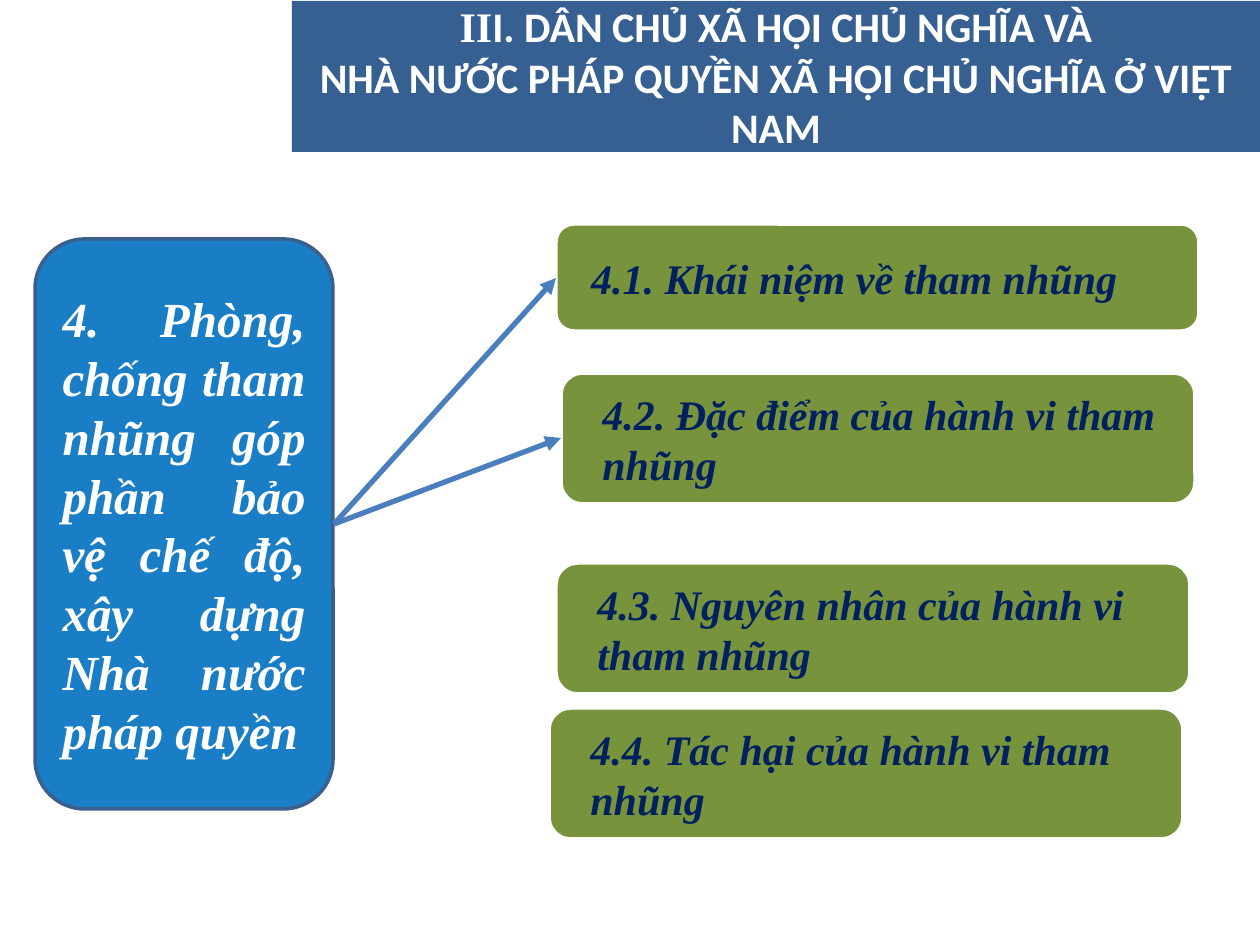
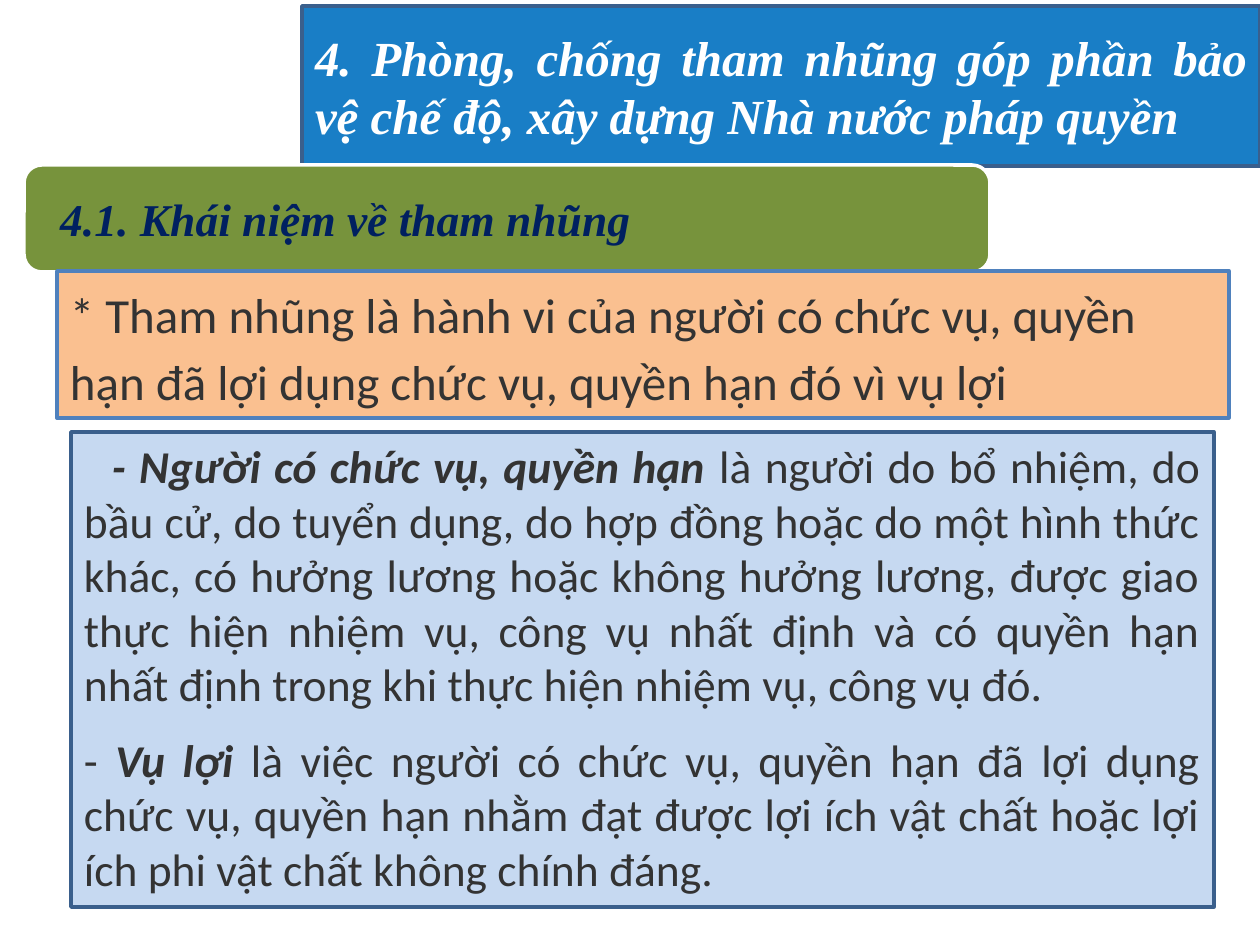
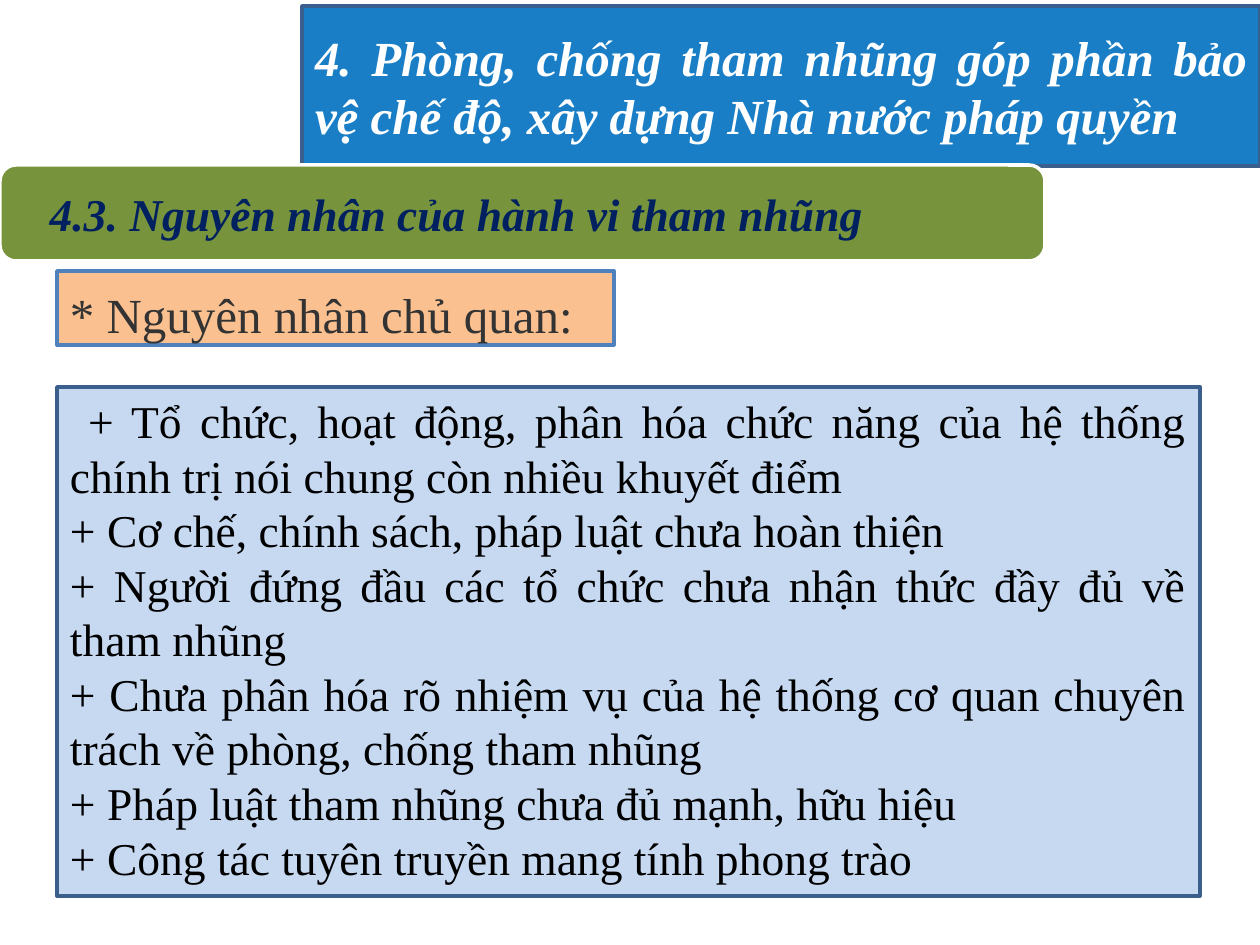
from lxml.etree import SubElement
from pptx import Presentation
from pptx.dml.color import RGBColor
from pptx.enum.shapes import MSO_CONNECTOR as CONN, MSO_SHAPE as SHAPE
from pptx.enum.text import MSO_ANCHOR as ANCHOR, MSO_AUTO_SIZE as AUTO, PP_ALIGN as ALIGN
from pptx.oxml.ns import qn
from pptx.util import Emu, Pt

WHITE = RGBColor(0xFF, 0xFF, 0xFF)
BLACK = RGBColor(0x00, 0x00, 0x00)
GREY = RGBColor(0x33, 0x33, 0x33)
NAVY = RGBColor(0x00, 0x20, 0x60)
BAND = RGBColor(0x37, 0x60, 0x92)
BLUE = RGBColor(0x00, 0x70, 0xC0)
EDGE = RGBColor(0x3A, 0x5F, 0x8C)
GREEN = RGBColor(0x77, 0x93, 0x3C)
PEACH = RGBColor(0xFA, 0xC0, 0x90)
PEACH_EDGE = RGBColor(0x4F, 0x81, 0xBD)
PALE = RGBColor(0xC6, 0xD9, 0xF1)
ARROW = RGBColor(0x4B, 0x7E, 0xBC)

SERIF = "Times New Roman"
SANS = "Calibri"
STRONG = {"bold": True, "italic": True}
SCALE = 914400 / 126
TITLE_ONLY, TITLE_BODY = 5, 1
PAD = (13, 6, 13, 6)
SECTION = "4. Phòng, chống tham nhũng góp phần bảo vệ chế độ, xây dựng Nhà nước pháp quyền"
CONCEPT = "4.1. Khái niệm về tham nhũng"
CAUSES = "4.3. Nguyên nhân của hành vi tham nhũng"


def px(n):
    return Emu(round(n * SCALE))


def set_all(obj, values):
    for name, value in values.items():
        setattr(obj, name, value)


class Deck:
    def __init__(self):
        self.prs = Presentation()
        set_all(self.prs, {"slide_width": px(1260), "slide_height": px(945)})
        self.s = None

    def slide(self, layout):
        self.s = self.prs.slides.add_slide(self.prs.slide_layouts[layout])

    def place(self, sp, box):
        set_all(sp, dict(zip(("left", "top", "width", "height"), map(px, box))))

    def paint(self, sp, fill, line=None):
        sp.shadow.inherit = False
        sp.fill.solid()
        sp.fill.fore_color.rgb = fill
        if line:
            sp.line.color.rgb = line
            sp.line.width = Pt(2)
        else:
            sp.line.fill.background()

    def shape(self, kind, box, fill, line):
        sp = self.s.shapes.add_shape(kind, *map(px, box))
        self.paint(sp, fill, line)
        return sp

    def text(self, sp, paragraphs, font, anchor=ANCHOR.MIDDLE, pad=PAD, para=None, gap=0, indent=0):
        tf = sp.text_frame
        set_all(tf, {"word_wrap": True, "auto_size": AUTO.NONE, "vertical_anchor": anchor})
        set_all(tf, dict(zip(("margin_left", "margin_top", "margin_right", "margin_bottom"), map(px, pad))))
        for i, runs in enumerate(paragraphs):
            p = tf.add_paragraph() if i else tf.paragraphs[0]
            pPr = p._p.get_or_add_pPr()
            pPr.set("marL", "0")
            pPr.set("indent", str(0 if i else px(indent)))
            SubElement(pPr, qn("a:buNone"))
            set_all(p, {"alignment": ALIGN.LEFT, "space_before": Pt(gap if i else 0), **(para or {})})
            for words, extra in runs:
                if words == "\n":
                    p.add_line_break()
                    continue
                r = p.add_run()
                r.text = words
                values = {**font, **extra}
                r.font.color.rgb = values.pop("color")
                set_all(r.font, values)

    def band_title(self, box, runs):
        sp = self.s.shapes.title
        self.place(sp, box)
        self.paint(sp, BAND)
        font = {"name": SANS, "size": Pt(24), "bold": True, "color": WHITE}
        self.text(sp, [runs], font, para={"alignment": ALIGN.CENTER})

    def section_style(self, sp):
        self.paint(sp, BLUE, EDGE)
        color = sp._element.spPr.find(qn("a:solidFill"))[0]
        SubElement(color, qn("a:alpha")).set("val", "90000")
        font = {"name": SERIF, "size": Pt(28), "color": WHITE, **STRONG}
        self.text(sp, [[(SECTION, {})]], font, para={"alignment": ALIGN.JUSTIFY})

    def section_box(self, box):
        self.section_style(self.shape(SHAPE.ROUNDED_RECTANGLE, box, BLUE, EDGE))

    def section_title(self):
        sp = self.s.shapes.title
        self.place(sp, (302, 6, 958, 160))
        geom = SubElement(sp._element.spPr, qn("a:prstGeom"))
        geom.set("prst", "roundRect")
        SubElement(geom, qn("a:avLst"))
        self.section_style(sp)

    def topic(self, box, words, size=24, inset=35):
        sp = self.shape(SHAPE.ROUNDED_RECTANGLE, box, GREEN, WHITE)
        font = {"name": SERIF, "size": Pt(size), "color": NAVY, **STRONG}
        self.text(sp, [[(words, {})]], font, pad=(inset, 0, 20, 0))

    def note(self, box, words, name):
        sp = self.shape(SHAPE.RECTANGLE, box, PEACH, PEACH_EDGE)
        font = {"name": name, "size": Pt(28), "color": GREY}
        self.text(sp, [[(words, {})]], font, ANCHOR.TOP, para={"line_spacing": Pt(38)})

    def body(self, box, paragraphs, name, color, gap, indent):
        sp = self.s.placeholders[1]
        self.place(sp, box)
        self.paint(sp, PALE, EDGE)
        font = {"name": name, "size": Pt(26), "color": color}
        self.text(sp, paragraphs, font, ANCHOR.TOP, para={"alignment": ALIGN.JUSTIFY},
                  gap=gap, indent=indent)

    def arrow(self, start, end):
        c = self.s.shapes.add_connector(CONN.STRAIGHT, *map(px, start + end))
        c.line.color.rgb = ARROW
        c.line.width = Pt(3)
        ln = c._element.spPr.find(qn("a:ln"))
        SubElement(ln, qn("a:tailEnd")).set("type", "triangle")
        SubElement(c._element.spPr, qn("a:effectLst"))


def overview(d):
    d.slide(TITLE_ONLY)
    d.band_title((292, 1, 968, 151), [
        ("II", {"name": SERIF}),
        ("I. DÂN CHỦ XÃ HỘI CHỦ NGHĨA VÀ", {}),
        ("\n", {}),
        ("NHÀ NƯỚC PHÁP QUYỀN XÃ HỘI CHỦ NGHĨA Ở VIỆT NAM", {}),
    ])
    d.section_box((35, 239, 298, 570))
    d.topic((556, 224, 643, 107), CONCEPT, inset=30)
    for left, top, words in (
        (561, 373, "4.2. Đặc điểm của hành vi tham nhũng"),
        (556, 563, CAUSES),
        (549, 708, "4.4. Tác hại của hành vi tham nhũng"),
    ):
        d.topic((left, top, 634, 131), words)
    for end in ((561, 438), (556, 278)):
        d.arrow((334, 524), end)


def concept(d):
    d.slide(TITLE_BODY)
    d.section_title()
    d.topic((24, 165, 966, 107), CONCEPT, 26, 31)
    d.note((57, 271, 1172, 147),
           "* Tham nhũng là hành vi của người có chức vụ, quyền hạn đã lợi dụng chức vụ, "
           "quyền hạn đó vì vụ lợi", SANS)
    d.body((71, 432, 1143, 475), [
        [("- Người có chức vụ, quyền hạn", STRONG),
         (" là người do bổ nhiệm, do bầu cử, do tuyển dụng, do hợp đồng hoặc do một hình thức "
          "khác, có hưởng lương hoặc không hưởng lương, được giao thực hiện nhiệm vụ, công vụ "
          "nhất định và có quyền hạn nhất định trong khi thực hiện nhiệm vụ, công vụ đó.", {})],
        [("- ", {}), ("Vụ lợi", STRONG),
         (" là việc người có chức vụ, quyền hạn đã lợi dụng chức vụ, quyền hạn nhằm đạt được "
          "lợi ích vật chất hoặc lợi ích phi vật chất không chính đáng.", {})],
    ], SANS, GREY, gap=12, indent=28)


def causes(d):
    d.slide(TITLE_BODY)
    d.section_title()
    d.topic((0, 165, 1045, 96), CAUSES, 26, 45)
    d.note((57, 271, 557, 74), "* Nguyên nhân chủ quan:", SERIF)
    items = (
        "+ Tổ chức, hoạt động, phân hóa chức năng của hệ thống chính trị nói chung còn nhiều khuyết điểm",
        "+ Cơ chế, chính sách, pháp luật chưa hoàn thiện",
        "+ Người đứng đầu các tổ chức chưa nhận thức đầy đủ về tham nhũng",
        "+ Chưa phân hóa rõ nhiệm vụ của hệ thống cơ quan chuyên trách về phòng, chống tham nhũng",
        "+ Pháp luật tham nhũng chưa đủ mạnh, hữu hiệu",
        "+ Công tác tuyên truyền mang tính phong trào",
    )
    d.body((57, 387, 1143, 509), [[(item, {})] for item in items], SERIF, BLACK, gap=0, indent=18)


def main():
    d = Deck()
    for build in (overview, concept, causes):
        build(d)
    d.prs.save("out.pptx")


if __name__ == "__main__":
    main()
